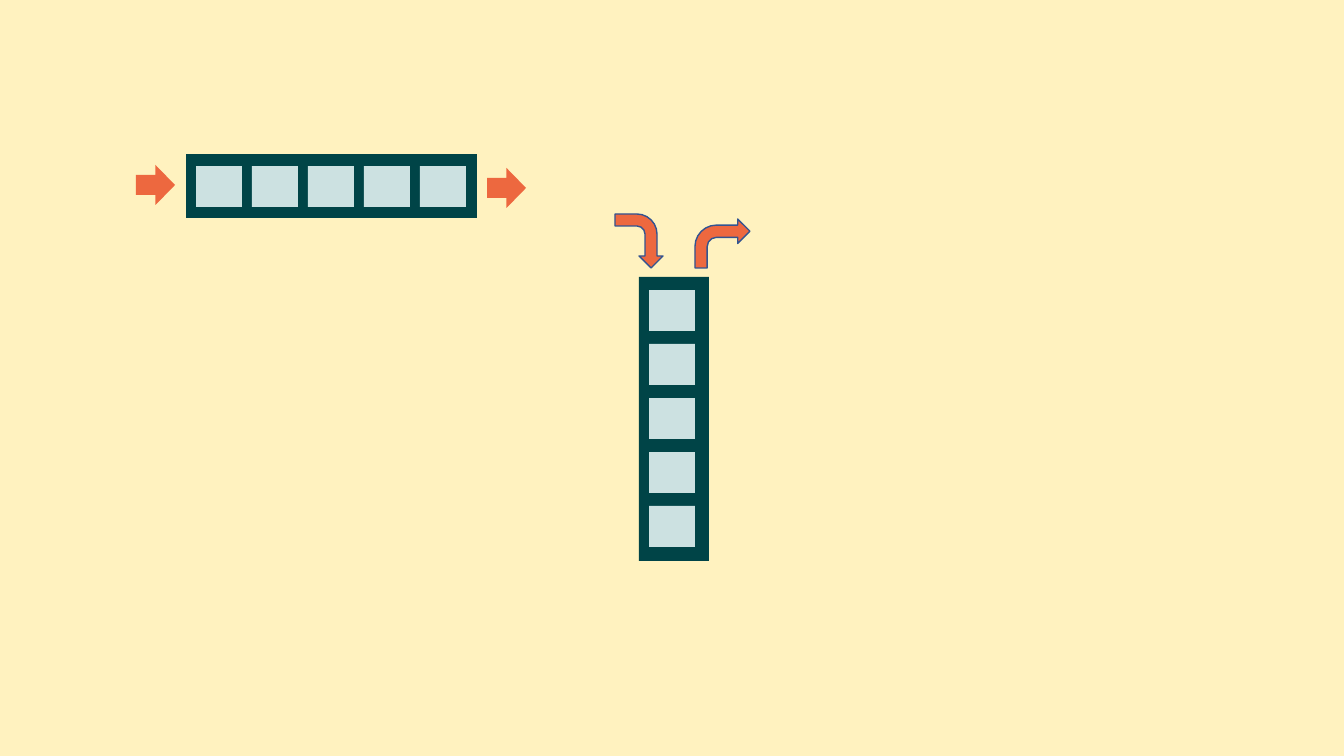
"""Builds a slide showing a horizontal queue and a vertical stack with their arrows."""
from pptx import Presentation
from pptx.dml.color import RGBColor
from pptx.enum.shapes import MSO_SHAPE
from pptx.util import Pt

COLORS = {"background": "FFF2BF", "frame": "004447", "cell": "CCE1E1",
          "arrow": "ED683F", "outline": "325491"}
SLIDE_SIZE = (1344, 756)
PX = 12192000 / 1344

CELL_COUNT = 5
CELL_SIZE = (46, 41)
QUEUE = {"frame": (186, 154, 291, 64), "first_cell": (196, 166), "step": (56, 0)}
STACK = {"frame": (639, 277, 70, 284), "first_cell": (649, 290), "step": (0, 54)}
QUEUE_ARROWS = [(136, 165, 39, 40), (487, 168, 39, 40)]
POP_ARROW = (695, 219, 55, 49)
PUSH_ARROW = (612, 217, 54, 48)


def emu(px):
    return round(px * PX)


def add_part(shapes, kind, box, color):
    part = shapes.add_shape(kind, *map(emu, box))
    part.shadow.inherit = False
    part.fill.solid()
    part.fill.fore_color.rgb = RGBColor.from_string(COLORS[color])
    part.line.fill.background()
    return part


def add_cells(shapes, structure):
    left, top = structure["first_cell"]
    step_x, step_y = structure["step"]
    for i in range(CELL_COUNT):
        box = (left + i * step_x, top + i * step_y, *CELL_SIZE)
        add_part(shapes, MSO_SHAPE.RECTANGLE, box, "cell")


def add_bent_arrow(shapes, box):
    arrow = add_part(shapes, MSO_SHAPE.BENT_ARROW, box, "arrow")
    arrow.line.color.rgb = RGBColor.from_string(COLORS["outline"])
    arrow.line.width = Pt(1)
    return arrow


def main():
    prs = Presentation()
    prs.slide_width, prs.slide_height = map(emu, SLIDE_SIZE)
    slide = prs.slides.add_slide(prs.slide_layouts[6])
    slide.background.fill.solid()
    slide.background.fill.fore_color.rgb = RGBColor.from_string(COLORS["background"])
    shapes = slide.shapes

    for structure in (STACK, QUEUE):
        add_part(shapes, MSO_SHAPE.RECTANGLE, structure["frame"], "frame")
    add_cells(shapes.add_group_shape().shapes, QUEUE)
    for box in QUEUE_ARROWS:
        add_part(shapes, MSO_SHAPE.RIGHT_ARROW, box, "arrow")
    add_cells(shapes, STACK)

    add_bent_arrow(shapes, POP_ARROW)
    push = add_bent_arrow(shapes, PUSH_ARROW)
    push.rotation = 90
    push.adjustments[3] = 0.42

    prs.save("out.pptx")


if __name__ == "__main__":
    main()
